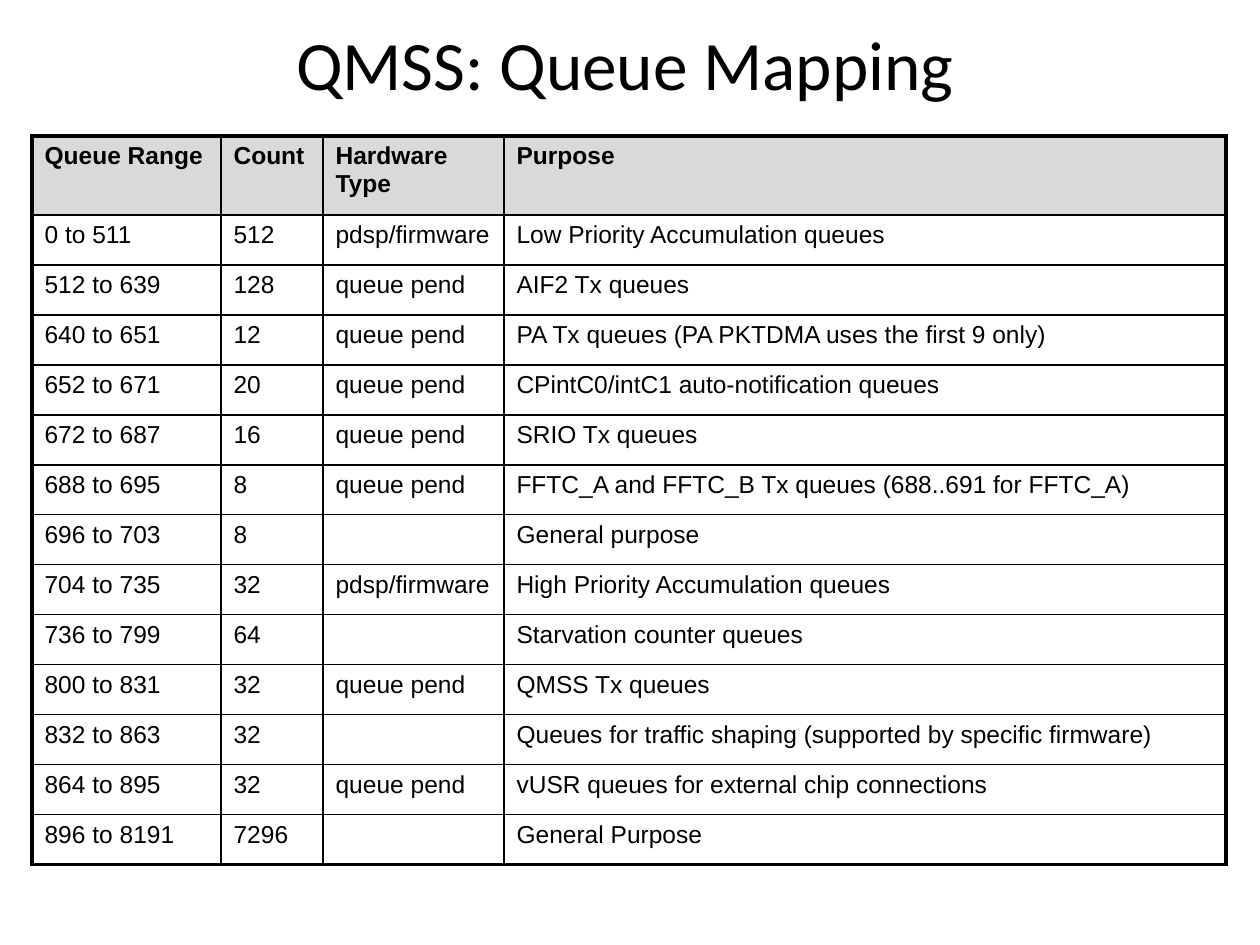
from dataclasses import dataclass

from lxml import etree
from pptx import Presentation
from pptx.dml.color import RGBColor
from pptx.enum.text import MSO_ANCHOR, MSO_AUTO_SIZE, PP_ALIGN
from pptx.oxml.ns import qn
from pptx.util import Emu, Pt

MIDDLE = MSO_ANCHOR.MIDDLE
CENTER = PP_ALIGN.CENTER
NO_AUTOFIT = MSO_AUTO_SIZE.NONE
TITLE_ONLY = 5


@dataclass(frozen=True)
class Theme:
    ink: str = "000000"
    header_fill: str = "D9D9D9"
    title_font: str = "Calibri"
    table_font: str = "Arial"
    title_size: float = 39.6
    table_size: float = 14
    outer_line: float = 2.25
    inner_line: float = 1
    space_before_percent: int = 20


THEME = Theme()
COLUMN_WIDTHS = (189, 102, 181, 722)
HEADER_HEIGHT, ROW_HEIGHT = 79, 50
HEADINGS = ("Queue Range", "Count", "Hardware Type", "Purpose")
QUEUES = (
    ("0 to 511", "512", "pdsp/firmware", "Low Priority Accumulation queues"),
    ("512 to 639", "128", "queue pend", "AIF2 Tx queues"),
    ("640 to 651", "12", "queue pend", "PA Tx queues (PA PKTDMA uses the first 9 only)"),
    ("652 to 671", "20", "queue pend", "CPintC0/intC1 auto-notification queues"),
    ("672 to 687", "16", "queue pend", "SRIO Tx queues"),
    ("688 to 695", "8", "queue pend", "FFTC_A and FFTC_B Tx queues (688..691 for FFTC_A)"),
    ("696 to 703", "8", "", "General purpose"),
    ("704 to 735", "32", "pdsp/firmware", "High Priority Accumulation queues"),
    ("736 to 799", "64", "", "Starvation counter queues"),
    ("800 to 831", "32", "queue pend", "QMSS Tx queues"),
    ("832 to 863", "32", "", "Queues for traffic shaping (supported by specific firmware)"),
    ("864 to 895", "32", "queue pend", "vUSR queues for external chip connections"),
    ("896 to 8191", "7296", "", "General Purpose"),
)


def px(length):
    return Emu(round(length * 914400 / 126))


def style_font(para, name, size, bold=False):
    font = para.font
    font.name = name
    font.size = Pt(size)
    font.bold = bold
    font.color.rgb = RGBColor.from_string(THEME.ink)


def add_title(page, text):
    title = page.shapes.title
    title.left, title.top, title.width, title.height = map(px, (42, 21, 1166, 84))
    frame = title.text_frame
    frame.text = text
    frame.word_wrap = True
    frame.auto_size = NO_AUTOFIT
    frame.vertical_anchor = MIDDLE
    para = frame.paragraphs[0]
    para.alignment = CENTER
    style_font(para, THEME.title_font, THEME.title_size)


def set_relative_space_before(para, percent):
    """Space before a paragraph as a share of its line height."""
    space = etree.Element(qn("a:spcBef"))
    etree.SubElement(space, qn("a:spcPct"), val=str(percent * 1000))
    para._p.get_or_add_pPr().insert(0, space)


def set_borders(cell, outer_sides):
    properties = cell._tc.get_or_add_tcPr()
    for side in "LRTB":
        width = THEME.outer_line if side in outer_sides else THEME.inner_line
        line = etree.SubElement(properties, qn(f"a:ln{side}"), w=str(Pt(width)))
        fill = etree.SubElement(line, qn("a:solidFill"))
        etree.SubElement(fill, qn("a:srgbClr"), val=THEME.ink)


def fill_cell(cell, text, is_header, outer_sides):
    cell.text = text
    para = cell.text_frame.paragraphs[0]
    style_font(para, THEME.table_font, THEME.table_size, is_header)
    set_relative_space_before(para, THEME.space_before_percent)
    set_borders(cell, outer_sides)
    if is_header:
        cell.fill.solid()
        cell.fill.fore_color.rgb = RGBColor.from_string(THEME.header_fill)
    else:
        cell.fill.background()


def add_queue_table(page, left, top):
    rows = (HEADINGS, *QUEUES)
    heights = [HEADER_HEIGHT] + [ROW_HEIGHT] * len(QUEUES)
    size = px(sum(COLUMN_WIDTHS)), px(sum(heights))
    table = page.shapes.add_table(
        len(rows), len(HEADINGS), px(left), px(top), *size
    ).table
    table.first_row = table.horz_banding = False
    for column, width in zip(table.columns, COLUMN_WIDTHS):
        column.width = px(width)
    last_row, last_column = len(rows) - 1, len(HEADINGS) - 1
    for r, (texts, height) in enumerate(zip(rows, heights)):
        table.rows[r].height = px(height)
        for c, text in enumerate(texts):
            edges = {"L": c == 0, "R": c == last_column, "T": r == 0, "B": r == last_row}
            outer_sides = [side for side, is_outer in edges.items() if is_outer]
            fill_cell(table.cell(r, c), text, r == 0, outer_sides)


def main():
    deck = Presentation()
    deck.slide_width, deck.slide_height = px(1260), px(945)
    page = deck.slides.add_slide(deck.slide_layouts[TITLE_ONLY])
    add_title(page, "QMSS: Queue Mapping")
    add_queue_table(page, left=32, top=136)
    deck.save("out.pptx")


if __name__ == "__main__":
    main()
